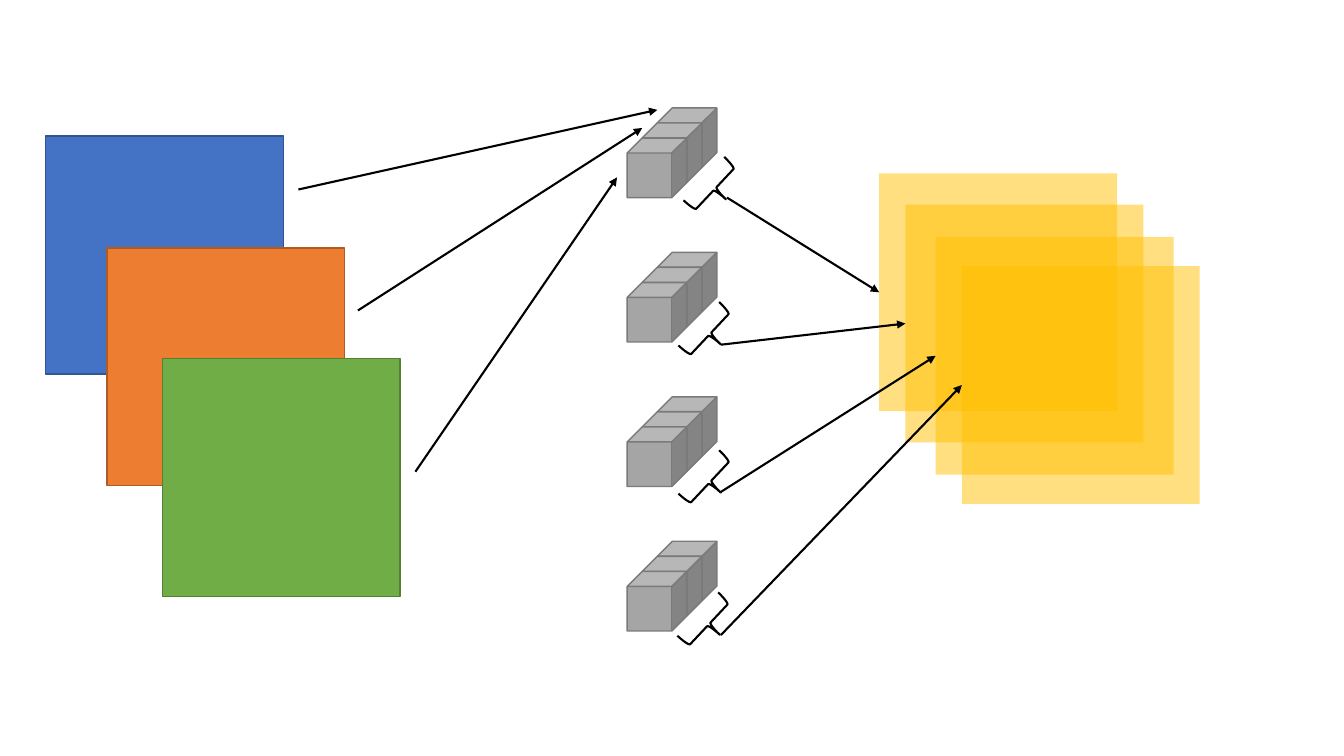
from lxml import etree
from pptx import Presentation
from pptx.dml.color import RGBColor
from pptx.enum import shapes
from pptx.oxml import ns
from pptx.util import Inches, Pt

BLUE, BLUE_EDGE = RGBColor(0x44, 0x72, 0xC4), RGBColor(0x32, 0x54, 0x91)
ORANGE, ORANGE_EDGE = RGBColor(0xED, 0x7D, 0x31), RGBColor(0xAF, 0x5C, 0x24)
GREEN, GREEN_EDGE = RGBColor(0x70, 0xAD, 0x47), RGBColor(0x53, 0x80, 0x35)
GRAY, GRAY_EDGE = RGBColor(0xA5, 0xA5, 0xA5), RGBColor(0x7A, 0x7A, 0x7A)
GOLD = RGBColor(0xFF, 0xC0, 0x00)
BLACK = RGBColor(0, 0, 0)

MAP_SIZE = 2.36
CUBE_SIZE, CUBE_STEP = 0.59, 0.15
BRACE_W, BRACE_H, BRACE_TURN = 0.3, 0.59, 43.2
FILTER_COUNT = 4


def add_shape(parent, kind, x, y, w, h, fill=None, edge=None, weight=1, alpha=None):
    sp = parent.add_shape(kind, Inches(x), Inches(y), Inches(w), Inches(h))
    sp.shadow.inherit = False
    if fill is None:
        sp.fill.background()
    else:
        sp.fill.solid()
        sp.fill.fore_color.rgb = fill
    if alpha is not None:
        color = sp.fill._xPr.find(".//" + ns.qn("a:srgbClr"))
        etree.SubElement(color, ns.qn("a:alpha"), val=str(alpha * 1000))
    if edge is None:
        sp.line.fill.background()
    else:
        sp.line.color.rgb = edge
        sp.line.width = Pt(weight)
    return sp


def add_arrow(parent, start, end, target=None):
    """Draw an arrow; a target is joined at the middle of its left side."""
    cx = parent.add_connector(shapes.MSO_CONNECTOR.STRAIGHT,
                              *map(Inches, start + end))
    if target is not None:
        cx.end_connect(target, 1)
    cx.line.color.rgb = BLACK
    cx.line.width = Pt(1.5)
    etree.SubElement(cx.line._get_or_add_ln(), ns.qn("a:tailEnd"), type="triangle")
    etree.SubElement(cx._element.spPr, ns.qn("a:effectLst"))
    return cx


def add_maps(parent, x, y, layers):
    """Stack overlapping squares, each given by its offset and format."""
    return [add_shape(parent, shapes.MSO_SHAPE.RECTANGLE, x + dx, y + dy,
                      MAP_SIZE, MAP_SIZE, **style)
            for dx, dy, style in layers]


def add_filter(parent, x, y):
    """Group three cubes, running from the back at top right to the front."""
    group = parent.add_group_shape()
    for depth in (2, 1, 0):
        add_shape(group.shapes, shapes.MSO_SHAPE.CUBE,
                  x + depth * CUBE_STEP, y + (2 - depth) * CUBE_STEP,
                  CUBE_SIZE, CUBE_SIZE, fill=GRAY, edge=GRAY_EDGE)


def add_brace(parent, x, y):
    sp = add_shape(parent, shapes.MSO_SHAPE.RIGHT_BRACE, x, y,
                   BRACE_W, BRACE_H, edge=BLACK, weight=1.5)
    sp.rotation = BRACE_TURN


def build_slide(prs):
    tree = prs.slides.add_slide(prs.slide_layouts[6]).shapes

    # Input channels
    add_maps(tree, 0.45, 1.35, [
        (0, 0, dict(fill=BLUE, edge=BLUE_EDGE)),
        (0.61, 1.11, dict(fill=ORANGE, edge=ORANGE_EDGE)),
        (1.16, 2.21, dict(fill=GREEN, edge=GREEN_EDGE)),
    ])

    # Filters, evenly spaced down the middle
    first_top, last_top = 1.07, 5.37
    pitch = (last_top - first_top) / (FILTER_COUNT - 1)
    for i in range(FILTER_COUNT):
        add_filter(tree, 6.22, first_top + i * pitch)

    # Channels to the first filter
    for start, end in [((2.96, 1.88), (6.52, 1.09)),
                       ((3.55, 3.08), (6.37, 1.27)),
                       ((4.12, 4.68), (6.12, 1.76))]:
        add_arrow(tree, start, end)

    # Output maps
    gold = dict(fill=GOLD, alpha=50)
    outputs = add_maps(tree, 8.72, 1.72, [
        (0, 0, gold), (0.26, 0.31, gold), (0.56, 0.63, gold), (0.82, 0.92, gold)])

    # Braces, each with an arrow to its output map
    links = [((6.94, 1.58), (7.21, 1.96)), ((6.89, 3.02), (7.15, 3.42)),
             ((6.89, 4.49), (7.15, 4.88)), ((6.88, 5.9), (7.15, 6.3))]
    for (brace, start), output in zip(links, outputs):
        add_brace(tree, *brace)
        add_arrow(tree, start, start, target=output)


def main():
    prs = Presentation()
    prs.slide_width, prs.slide_height = Inches(13.33), Inches(7.5)
    build_slide(prs)
    prs.save("out.pptx")


if __name__ == "__main__":
    main()
